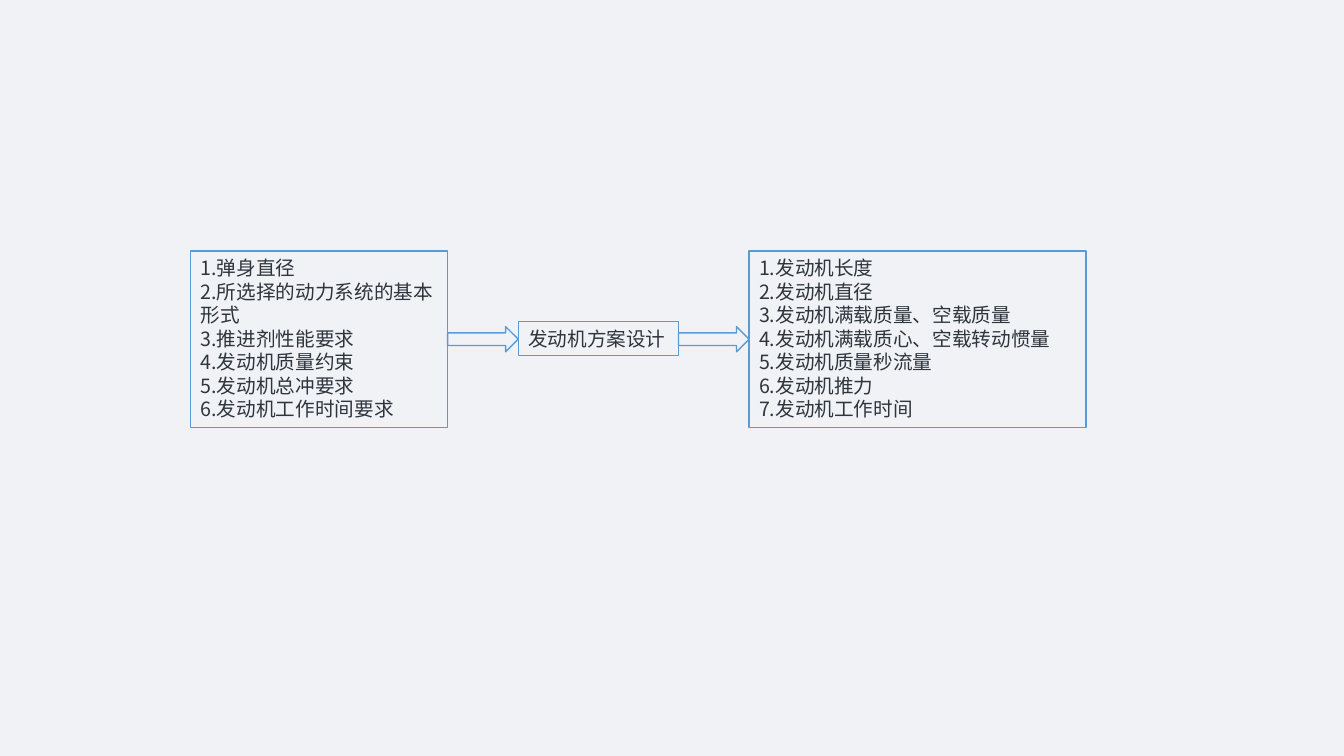
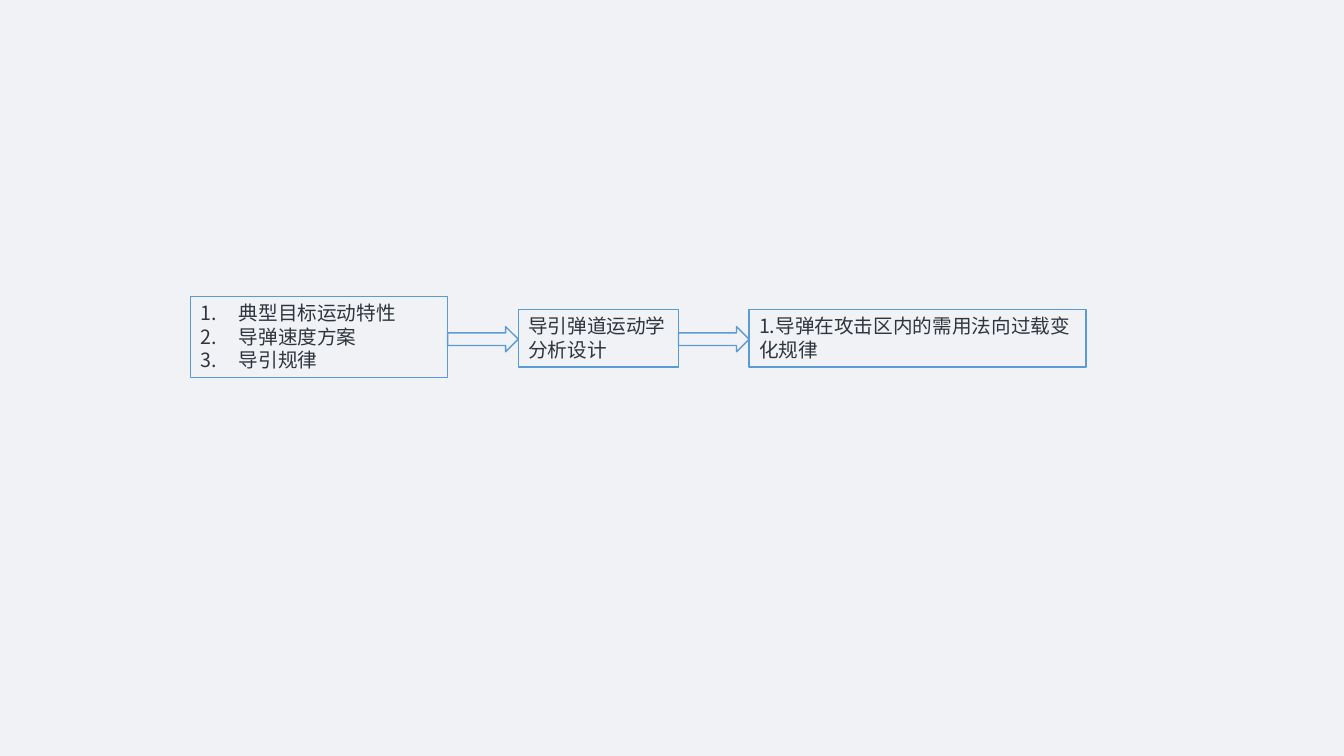
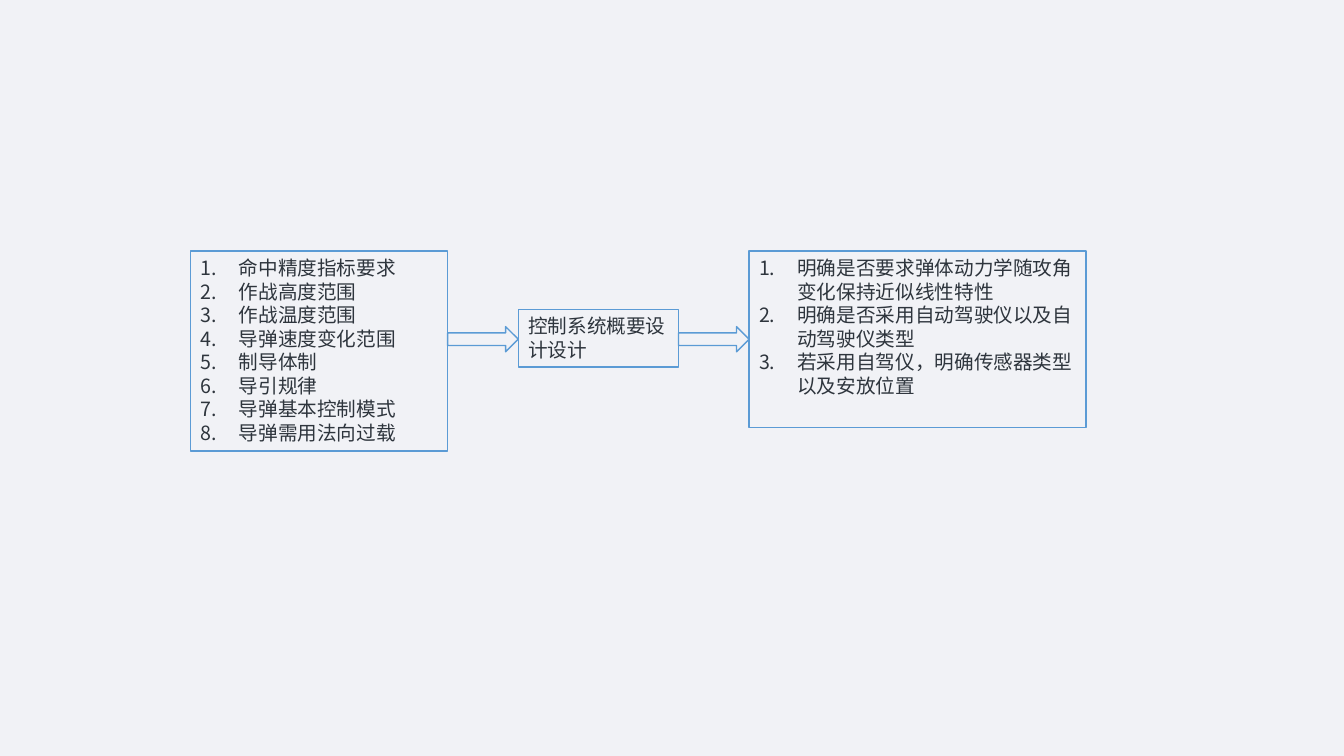
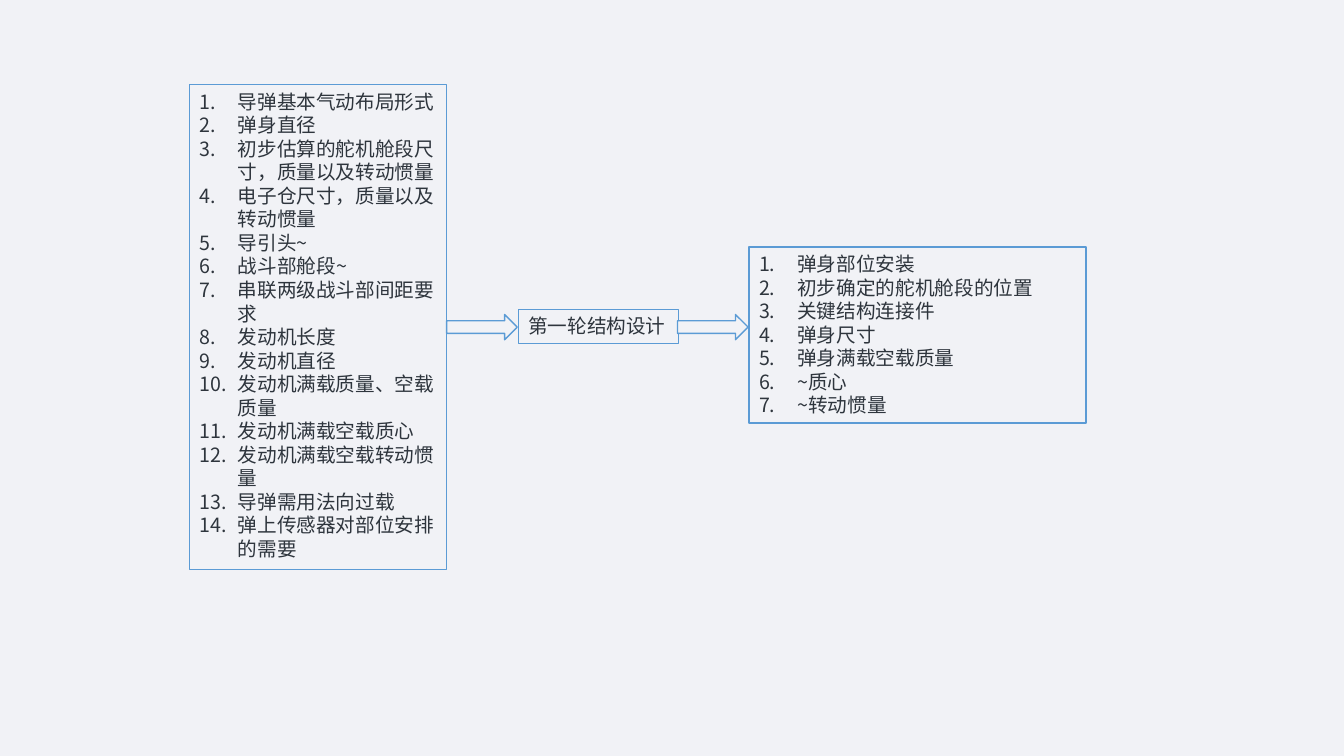
from lxml import etree
from pptx import Presentation
from pptx.dml.color import RGBColor
from pptx.enum.shapes import MSO_SHAPE
from pptx.enum.text import MSO_ANCHOR
from pptx.oxml.ns import qn
from pptx.util import Inches, Pt

ARROW = MSO_SHAPE.RIGHT_ARROW
TOP = MSO_ANCHOR.TOP

HEX = {"back": "F1F2F6", "line": "5B9BD5", "text": "2E353D"}
COLOR = {key: RGBColor.from_string(val) for key, val in HEX.items()}
FONT = "Noto Sans CJK SC"
SIZE = 14

# Columns of the flow: left edge and width
INPUT = (1.89, 2.55)
STEP = (5.14, 1.59)
OUTPUT = (7.43, 3.34)
ARROW_W, ARROW_H = 0.7, 0.25
PAD, LINE_H = 0.1, 0.2355
INDENT = 0.38

# Each column: top, lines of height, numbered, paragraphs
FLOWS = [
    {
        "arrow": 3.24,
        "input": (2.49, 7, False, [
            "1.弹身直径", "2.所选择的动力系统的基本形式", "3.推进剂性能要求",
            "4.发动机质量约束", "5.发动机总冲要求", "6.发动机工作时间要求"]),
        "step": (3.19, 1, False, ["发动机方案设计"]),
        "output": (2.49, 7, False, [
            "1.发动机长度", "2.发动机直径", "3.发动机满载质量、空载质量",
            "4.发动机满载质心、空载转动惯量", "5.发动机质量秒流量",
            "6.发动机推力", "7.发动机工作时间"]),
    },
    {
        "arrow": 3.24,
        "input": (2.94, 3, True, ["典型目标运动特性", "导弹速度方案", "导引规律"]),
        "step": (3.07, 2, False, ["导引弹道运动学分析设计"]),
        "output": (3.07, 2, False, ["1.导弹在攻击区内的需用法向过载变化规律"]),
    },
    {
        "arrow": 3.24,
        "input": (2.49, 8, True, [
            "命中精度指标要求", "作战高度范围", "作战温度范围", "导弹速度变化范围",
            "制导体制", "导引规律", "导弹基本控制模式", "导弹需用法向过载"]),
        "step": (3.07, 2, False, ["控制系统概要设计设计"]),
        "output": (2.49, 7, True, [
            "明确是否要求弹体动力学随攻角变化保持近似线性特性",
            "明确是否采用自动驾驶仪以及自动驾驶仪类型",
            "若采用自驾仪，明确传感器类型以及安放位置"]),
    },
    {
        "arrow": 3.12,
        "shift": -0.01,
        "input": (0.84, 20, True, [
            "导弹基本气动布局形式", "弹身直径",
            "初步估算的舵机舱段尺寸，质量以及转动惯量",
            "电子仓尺寸，质量以及转动惯量", "导引头~", "战斗部舱段~",
            "串联两级战斗部间距要求", "发动机长度", "发动机直径",
            "发动机满载质量、空载质量", "发动机满载空载质心",
            "发动机满载空载转动惯量", "导弹需用法向过载",
            "弹上传感器对部位安排的需要"]),
        "step": (3.07, 1, False, ["第一轮结构设计"]),
        "output": (2.45, 7, True, [
            "弹身部位安装", "初步确定的舵机舱段的位置", "关键结构连接件",
            "弹身尺寸", "弹身满载空载质量", "~质心", "~转动惯量"]),
    },
]


def paint(shape):
    """Shared fill and outline."""
    shape.fill.solid()
    shape.fill.fore_color.rgb = COLOR["back"]
    shape.line.color.rgb = COLOR["line"]
    shape.line.width = Pt(1)


def style(para, numbered):
    """Shared text style, with automatic numbers if asked."""
    font = para.font
    font.name, font.size = FONT, Pt(SIZE)
    font.color.rgb = COLOR["text"]
    props = para._p.get_or_add_pPr()
    asian = etree.SubElement(props.find(qn("a:defRPr")), qn("a:ea"))
    asian.set("typeface", FONT)
    if numbered:
        props.set("marL", str(Inches(INDENT)))
        props.set("indent", str(-Inches(INDENT)))
        number = etree.Element(qn("a:buAutoNum"))
        number.set("type", "arabicPeriod")
        props.insert(0, number)


def add_box(slide, left, width, top, lines, numbered, texts):
    height = PAD + LINE_H * lines
    box = slide.shapes.add_textbox(
        Inches(left), Inches(top), Inches(width), Inches(height))
    paint(box)
    frame = box.text_frame
    frame.word_wrap = True
    frame.vertical_anchor = TOP
    frame.text = "\n".join(texts)
    for para in frame.paragraphs:
        style(para, numbered)


def add_arrow(slide, left, top):
    arrow = slide.shapes.add_shape(
        ARROW, Inches(left), Inches(top), Inches(ARROW_W), Inches(ARROW_H))
    arrow.shadow.inherit = False
    paint(arrow)


def add_flow(deck, flow):
    """One slide: input box, arrow, step box, arrow, output box."""
    slide = deck.slides.add_slide(deck.slide_layouts[6])
    slide.background.fill.solid()
    slide.background.fill.fore_color.rgb = COLOR["back"]
    shift = flow.get("shift", 0)

    add_box(slide, INPUT[0] + shift, INPUT[1], *flow["input"])
    add_box(slide, *STEP, *flow["step"])
    add_box(slide, *OUTPUT, *flow["output"])
    # Arrows start at the right edge of the box before them
    for left, width in (INPUT, STEP):
        add_arrow(slide, left + width + shift, flow["arrow"])


def main():
    deck = Presentation()
    deck.slide_width, deck.slide_height = Inches(13.33), Inches(7.5)
    for flow in FLOWS:
        add_flow(deck, flow)
    deck.save("out.pptx")


if __name__ == "__main__":
    main()
